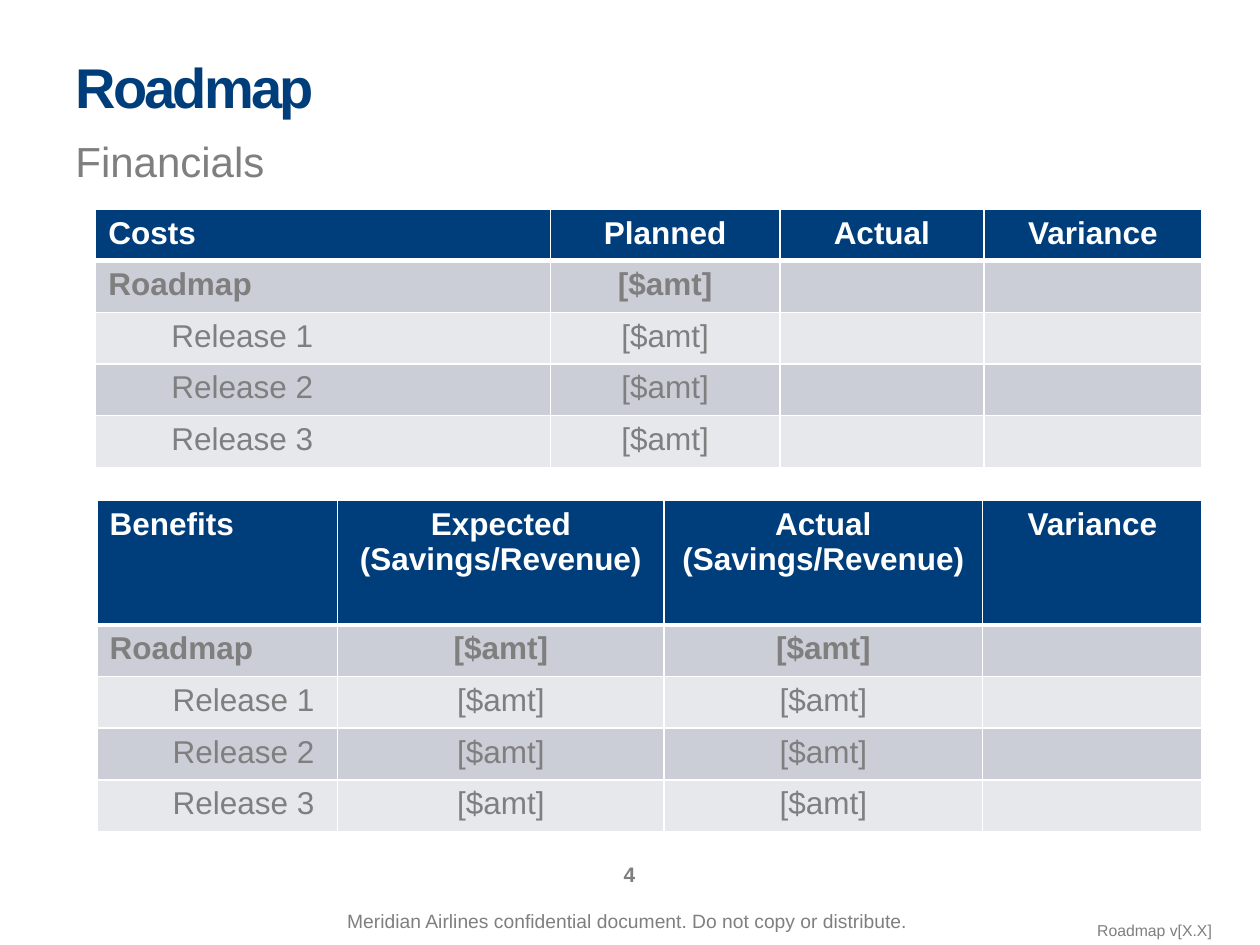
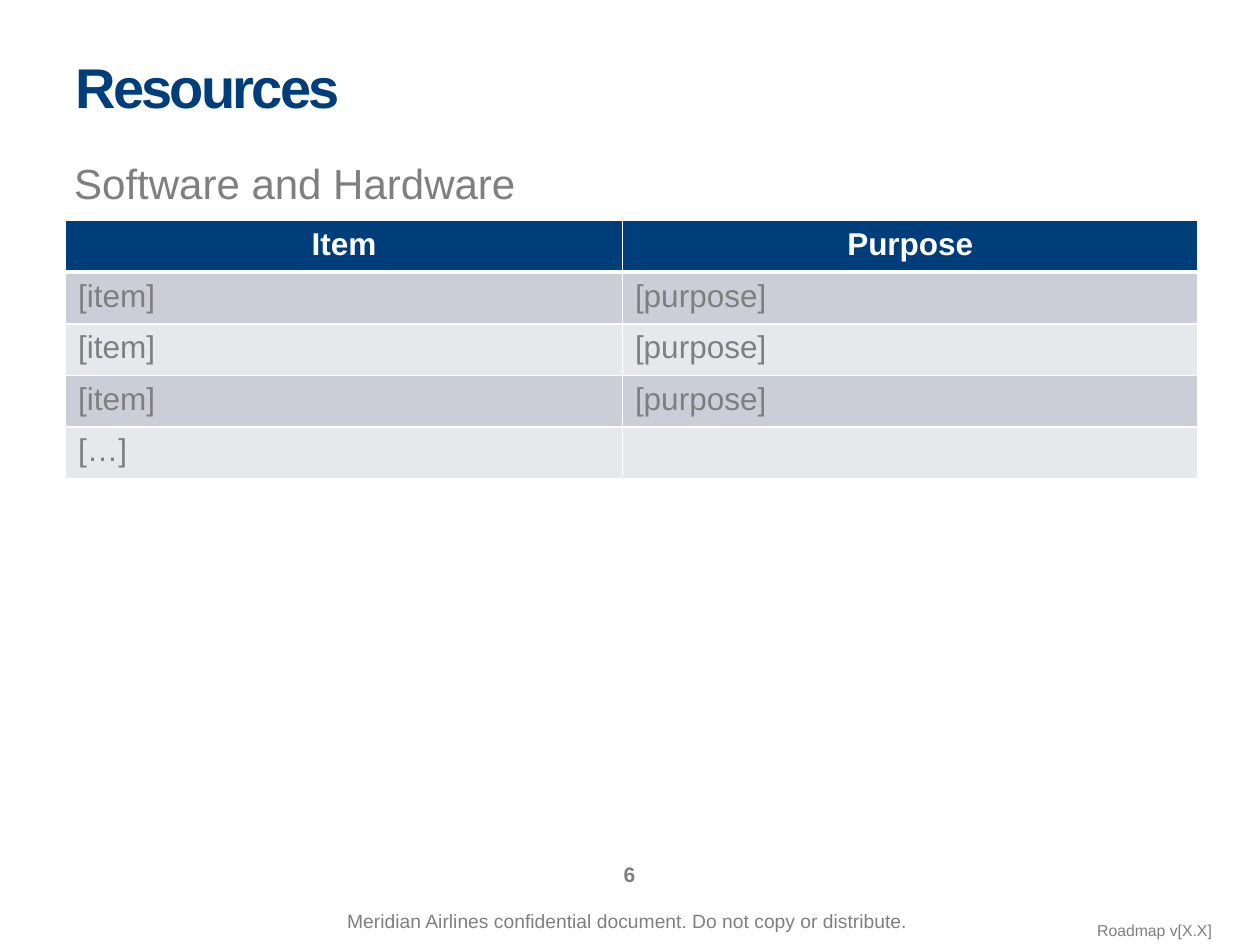
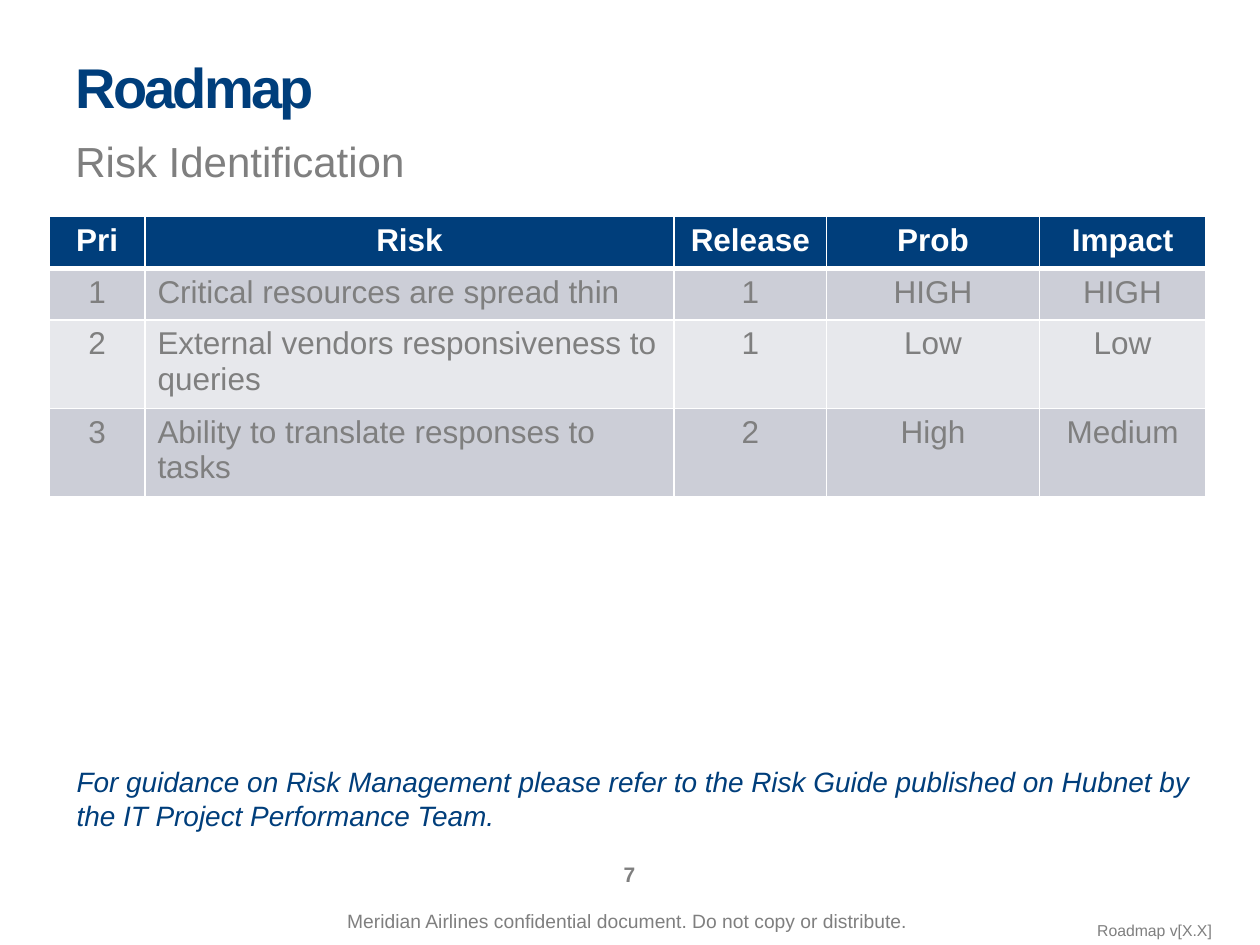
from lxml import etree
from pptx import Presentation, util as u
from pptx.dml.color import RGBColor
from pptx.enum import text
from pptx.oxml import ns

C = {"navy": "003E7B", "gray": "7F7F7F", "white": "FFFFFF", "dark": "CCCED7", "light": "E7E8EC"}
FONT = "Arial"
ROW_H = 0.41
LEFT, CENTER = text.PP_ALIGN.LEFT, text.PP_ALIGN.CENTER
TOP, MIDDLE, BOTTOM = text.MSO_ANCHOR.TOP, text.MSO_ANCHOR.MIDDLE, text.MSO_ANCHOR.BOTTOM
SUBTITLE = (0.5, 1.03, 9.01, 0.49)


def write(tf, content, size=18, color="gray", bold=False, italic=False, align=LEFT, spacing=0, indent=0):
    """Fill a text frame with one formatted paragraph per line."""
    for i, line in enumerate(content.split("\n")):
        p = tf.paragraphs[0] if i == 0 else tf.add_paragraph()
        p.alignment = align
        if indent:
            p.level = 1
            pPr = p._p.get_or_add_pPr()
            pPr.set("marL", str(u.Inches(indent)))
            pPr.set("indent", "0")
        r = p.add_run()
        r.text = line
        f = r.font
        f.name, f.size, f.bold, f.italic = FONT, u.Pt(size), bold, italic
        f.color.rgb = RGBColor.from_string(C[color])
        if spacing:
            r._r.get_or_add_rPr().set("spc", str(int(spacing * 100)))


def add_text(s, box, content, anchor=TOP, wrap=True, **fmt):
    """Add a text box at left, top, width, height in inches."""
    tf = s.shapes.add_textbox(*map(u.Inches, box)).text_frame
    tf.word_wrap = wrap
    tf.vertical_anchor = anchor
    write(tf, content, **fmt)


def set_borders(cell, **widths):
    """Draw white cell borders, one width in points per side."""
    tcPr = cell._tc.get_or_add_tcPr()
    for side in "LRTB":
        ln = etree.SubElement(tcPr, ns.qn(f"a:ln{side}"), w=str(u.Pt(widths.get(side, 1))))
        fill = etree.SubElement(ln, ns.qn("a:solidFill"))
        etree.SubElement(fill, ns.qn("a:srgbClr"), val=C["white"])


def add_grid(s, left, top, widths, rows, heights=None, left_cols=(0,), left_heads=(), totals=(), indents=()):
    """Add a banded table with a navy header row."""
    heights = heights or [ROW_H] * len(rows)
    box = map(u.Inches, (left, top, sum(widths), sum(heights)))
    tbl = s.shapes.add_table(len(rows), len(widths), *box).table
    for col, width in zip(tbl.columns, widths):
        col.width = u.Inches(width)
    for i, (row, height) in enumerate(zip(rows, heights)):
        tbl.rows[i].height = u.Inches(height)
        head = i == 0
        band = "navy" if head else "dark" if i % 2 else "light"
        for j, content in enumerate(row):
            cell = tbl.cell(i, j)
            set_borders(cell, T=3 if i == 1 else 1, B=3 if head else 1)
            cell.fill.solid()
            cell.fill.fore_color.rgb = RGBColor.from_string(C[band])
            if content:
                write(cell.text_frame, content, color="white" if head else "gray",
                      bold=head or i in totals,
                      align=LEFT if j in (left_heads if head else left_cols) else CENTER,
                      indent=0.5 if j == 0 and i in indents else 0)


def add_base(prs, title, subtitle, number, subtitle_box=SUBTITLE):
    """Add a slide with its title, subtitle and footers."""
    s = prs.slides.add_slide(prs.slide_layouts[6])
    add_text(s, (2.01, 7.18, 5.94, 0.26),
             "Meridian Airlines confidential document. Do not copy or distribute.",
             anchor=MIDDLE, wrap=False, size=11, align=CENTER)
    add_text(s, (0.5, 0.3, 9, 0.7), title, anchor=BOTTOM, size=32, color="navy", bold=True, spacing=-1.6)
    add_text(s, subtitle_box, subtitle, size=24)
    add_text(s, (8.61, 7.26, 1.23, 0.25), "Roadmap v[X.X]", size=9)
    add_text(s, (3.83, 6.74, 2.33, 0.4), str(number), anchor=MIDDLE, size=12, bold=True, align=CENTER)
    return s


def add_financials(prs):
    """Build the costs and benefits slide."""
    s = add_base(prs, "Roadmap", "Financials", 4)
    names = ["Roadmap"] + [f"Release {n}" for n in (1, 2, 3)]
    style = dict(left_heads=(0,), totals=(1,), indents=(2, 3, 4))
    costs = [["Costs", "Planned", "Actual", "Variance"]]
    costs += [[name, "[$amt]", "", ""] for name in names]
    add_grid(s, 0.76, 1.66, [3.61, 1.82, 1.62, 1.73], costs, **style)
    benefits = [["Benefits", "Expected\n(Savings/Revenue)", "Actual\n(Savings/Revenue)", "Variance"]]
    benefits += [[name, "[$amt]", "[$amt]", ""] for name in names]
    add_grid(s, 0.77, 3.97, [1.91, 2.59, 2.53, 1.74], benefits, heights=[0.99] + [ROW_H] * 4, **style)


def add_resources(prs):
    """Build the software and hardware slide."""
    s = add_base(prs, "Resources", "Software and Hardware", 6, (0.49, 1.2, 9.01, 0.49))
    rows = [["Item", "Purpose"]] + [["[item]", "[purpose]"]] * 3 + [["[…]", ""]]
    add_grid(s, 0.52, 1.75, [4.42, 4.57], rows, left_cols=(0, 1))


def add_risks(prs):
    """Build the risk identification slide."""
    s = add_base(prs, "Roadmap", "Risk Identification", 7)
    rows = [
        ["Pri", "Risk", "Release", "Prob", "Impact"],
        ["1", "Critical resources are spread thin", "1", "HIGH", "HIGH"],
        ["2", "External vendors responsiveness to queries", "1", "Low", "Low"],
        ["3", "Ability to translate responses to tasks", "2", "High", "Medium"],
    ]
    add_grid(s, 0.39, 1.72, [0.76, 4.2, 1.21, 1.69, 1.32], rows,
             heights=[ROW_H, ROW_H, 0.66, 0.66], left_cols=(1,))
    add_text(s, (0.51, 6.02, 9.07, 0.64),
             "For guidance on Risk Management please refer to the Risk Guide published on Hubnet "
             "by the IT Project Performance Team.", size=16, color="navy", italic=True)


def main():
    """Build and save the deck."""
    prs = Presentation()
    prs.slide_width, prs.slide_height = u.Inches(10), u.Inches(7.5)
    add_financials(prs)
    add_resources(prs)
    add_risks(prs)
    prs.save("out.pptx")


if __name__ == "__main__":
    main()
